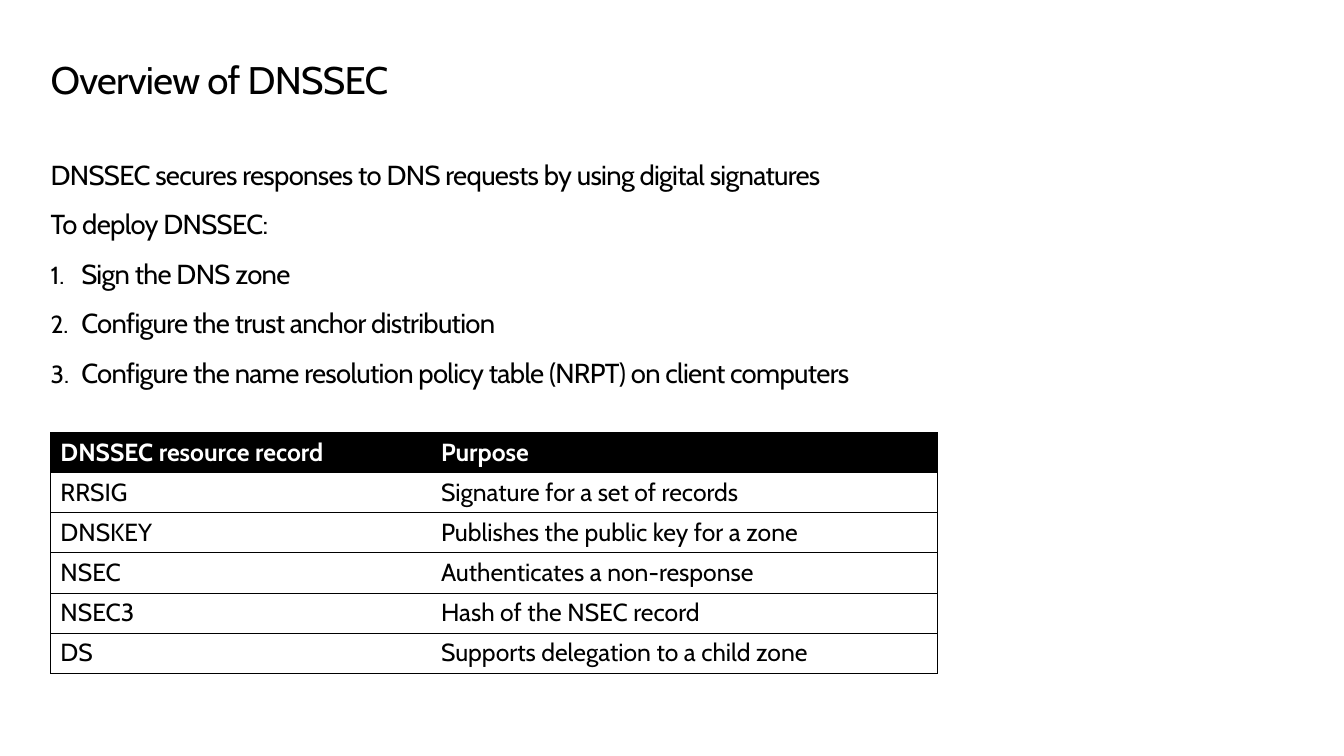
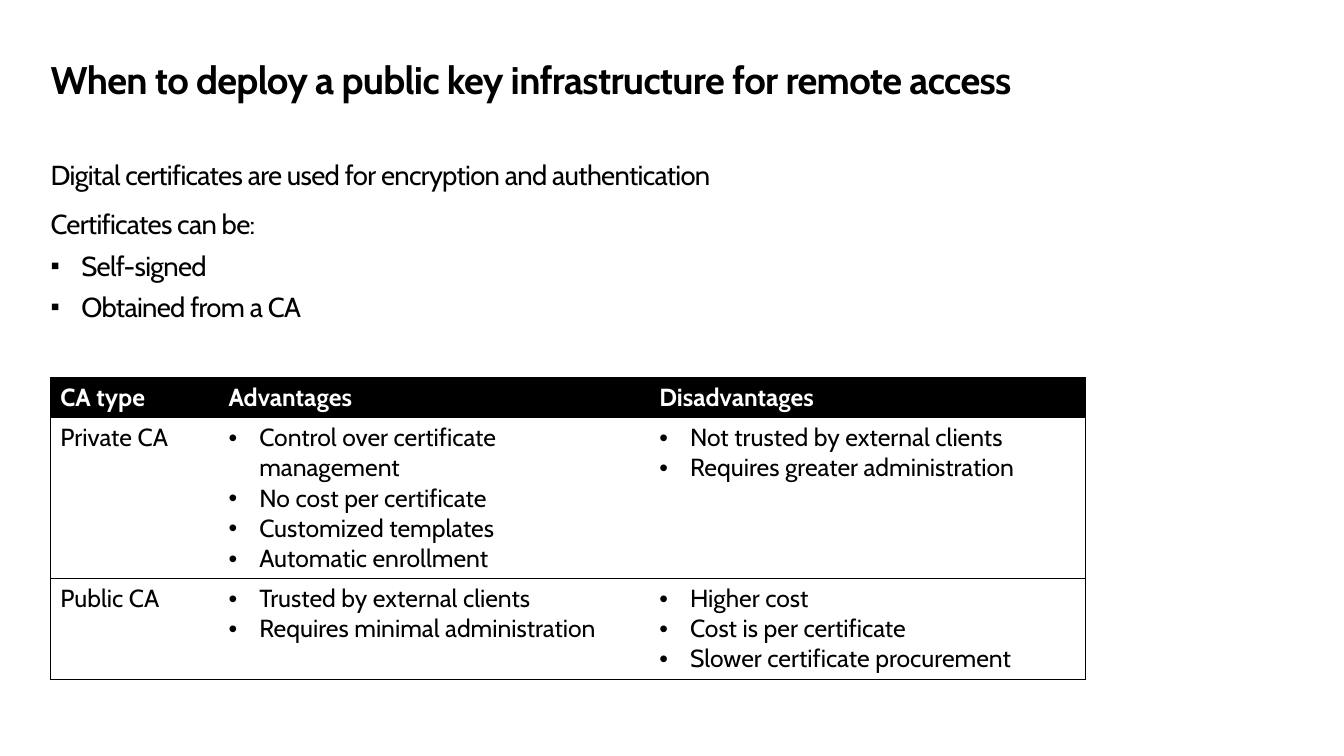
from lxml import etree
from pptx import Presentation
from pptx.dml.color import RGBColor
from pptx.enum import text
from pptx.oxml import ns
from pptx.util import Cm, Pt

BLACK = RGBColor(0x00, 0x00, 0x00)
WHITE = RGBColor(0xFF, 0xFF, 0xFF)
FACE = "Cabin"
LEFT = Cm(1.3)
WIDE = Cm(32.04)
INDENT = Cm(0.79)
ROW = 1.03

PLAIN, NUMBER, SQUARE, DOT = range(4)
MARKS = {
    NUMBER: ("buAutoNum", "type", "arabicPeriod", "90000"),
    SQUARE: ("buChar", "char", "▪", "95000"),
    DOT: ("buChar", "char", "•", "100000"),
}


def add(parent, tag, **attrs):
    """Append a drawing element to a parent and return it."""
    return etree.SubElement(parent, ns.qn("a:" + tag), **attrs)


def mark(para, kind):
    """Give a paragraph a hanging bullet or number."""
    tag, key, value, size = MARKS[kind]
    props = para._p.get_or_add_pPr()
    props.set("marL", str(INDENT))
    props.set("indent", str(-INDENT))
    add(props, "buSzPct", val=size)
    if tag == "buChar":
        add(props, "buFont", typeface="Arial")
    add(props, tag, **{key: value})


def style(para, size, color=BLACK, bold=False, tight=False):
    """Set the font of a whole paragraph."""
    font = para.font
    font.name, font.size, font.bold = FACE, Pt(size), bold
    font.color.rgb = color
    if tight:
        font._rPr.set("spc", "-50")


def fit(frame, bottom):
    """Set the margins, wrapping and anchor shared by title and body."""
    frame.auto_size = text.MSO_AUTO_SIZE.NONE
    frame.word_wrap = True
    frame.vertical_anchor = text.MSO_ANCHOR.TOP
    frame.margin_left = frame.margin_top = 0
    frame.margin_right, frame.margin_bottom = Cm(0.25), bottom


def lines(frame):
    """Yield the first paragraph of a frame, then new ones."""
    yield frame.paragraphs[0]
    while True:
        yield frame.add_paragraph()


def head(slide, words, bold):
    """Place and format the slide title."""
    title = slide.shapes.title
    title.left, title.top = LEFT, Cm(1.57)
    title.width, title.height = WIDE, Cm(1.14)
    fit(title.text_frame, 0)
    title.text_frame.text = words
    para = title.text_frame.paragraphs[0]
    para.alignment = text.PP_ALIGN.LEFT
    para.line_spacing = 0.9
    style(para, 28, bold=bold, tight=True)


def body(slide, items):
    """Write the statements and the list below the title."""
    box = slide.shapes.add_textbox(LEFT, Cm(4.06), WIDE, Cm(14.12))
    fit(box.text_frame, Cm(0.13))
    for i, ((kind, words), para) in enumerate(zip(items, lines(box.text_frame))):
        para.text = words
        if i:
            para.space_before = Pt(6 if kind == SQUARE else 12)
        if kind != PLAIN:
            mark(para, kind)
        style(para, 20, tight=True)


def edge(cell, side, shown):
    """Draw or clear one border of a cell."""
    line = add(cell._tc.get_or_add_tcPr(), "ln" + side, w=str(Pt(0.75)))
    if shown:
        add(add(line, "solidFill"), "srgbClr", val=str(BLACK))
    else:
        add(line, "noFill")


def fill(cell, entry, top):
    """Write a cell: a string is plain text, a list is bulleted."""
    items = [entry] if isinstance(entry, str) else entry
    for words, para in zip(items, lines(cell.text_frame)):
        para.text = words
        if items is entry:
            mark(para, DOT)
        style(para, 18, WHITE if top else BLACK, bold=top)
    cell.fill.solid()
    cell.fill.fore_color.rgb = BLACK if top else WHITE


def grid(slide, top, widths, rows, heights):
    """Build a table with a black header and horizontal rules."""
    table = slide.shapes.add_table(
        len(rows), len(widths), LEFT, Cm(top), Cm(sum(widths)), Cm(sum(heights))
    ).table
    table.first_row = table.horz_banding = False
    for col, width in zip(table.columns, widths):
        col.width = Cm(width)
    for r, (row, height) in enumerate(zip(rows, heights)):
        table.rows[r].height = Cm(height)
        for c, entry in enumerate(row):
            cell = table.cell(r, c)
            edge(cell, "L", c == 0)
            edge(cell, "R", c == len(widths) - 1)
            edge(cell, "T", True)
            edge(cell, "B", True)
            fill(cell, entry, r == 0)


def page(deck, title, bold, items, table):
    """Add a slide with a title, a list and a table."""
    slide = deck.slides.add_slide(deck.slide_layouts[5])
    head(slide, title, bold)
    body(slide, items)
    grid(slide, *table)


RECORDS = [
    ("DNSSEC resource record", "Purpose"),
    ("RRSIG", "Signature for a set of records"),
    ("DNSKEY", "Publishes the public key for a zone"),
    ("NSEC", "Authenticates a non-response"),
    ("NSEC3", "Hash of the NSEC record"),
    ("DS", "Supports delegation to a child zone"),
]

TYPES = [
    ("CA type", "Advantages", "Disadvantages"),
    (
        "Private CA",
        [
            "Control over certificate management",
            "No cost per certificate",
            "Customized templates",
            "Automatic enrollment",
        ],
        ["Not trusted by external clients", "Requires greater administration"],
    ),
    (
        "Public CA",
        ["Trusted by external clients", "Requires minimal administration"],
        ["Higher cost", "Cost is per certificate", "Slower certificate procurement"],
    ),
]


def main():
    """Build and save the deck."""
    deck = Presentation()
    deck.slide_width, deck.slide_height = Cm(34.54), Cm(19.43)
    page(
        deck,
        "Overview of DNSSEC",
        False,
        [
            (PLAIN, "DNSSEC secures responses to DNS requests by using digital signatures"),
            (PLAIN, "To deploy DNSSEC:"),
            (NUMBER, "Sign the DNS zone"),
            (NUMBER, "Configure the trust anchor distribution"),
            (NUMBER, "Configure the name resolution policy table (NRPT) on client computers"),
        ],
        (11.12, [9.78, 13], RECORDS, [ROW] * len(RECORDS)),
    )
    page(
        deck,
        "When to deploy a public key infrastructure for remote access",
        True,
        [
            (PLAIN, "Digital certificates are used for encryption and authentication"),
            (PLAIN, "Certificates can be:"),
            (SQUARE, "Self-signed"),
            (SQUARE, "Obtained from a CA"),
        ],
        (9.71, [4.32, 11.07, 11.2], TYPES, [ROW, 4.11, 2.58]),
    )
    deck.save("out.pptx")


if __name__ == "__main__":
    main()
